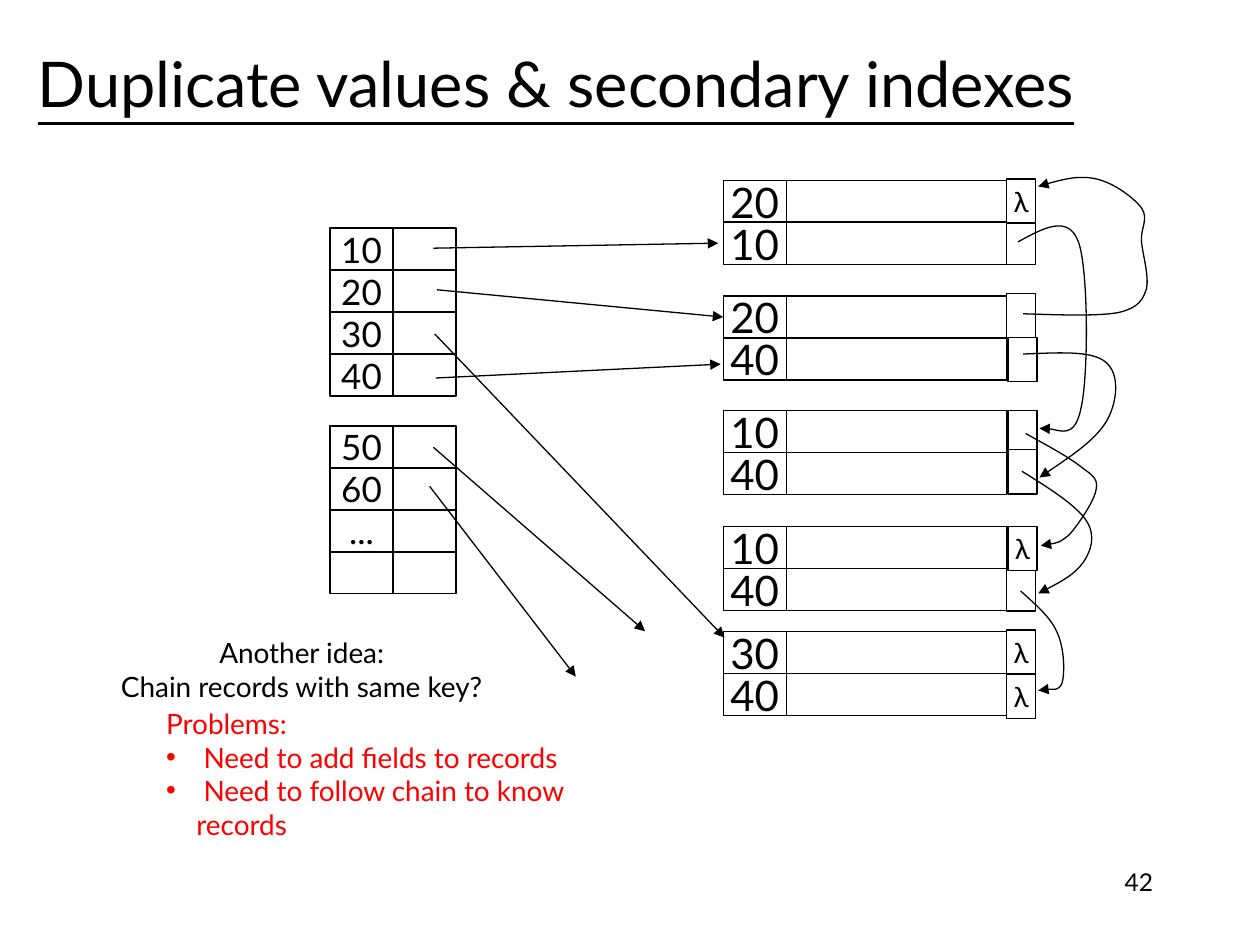
from dataclasses import dataclass

from lxml.etree import SubElement
from pptx import Presentation
from pptx.dml.color import RGBColor
from pptx.enum.shapes import MSO_CONNECTOR, MSO_SHAPE
from pptx.enum.text import MSO_ANCHOR, PP_ALIGN
from pptx.oxml.ns import qn
from pptx.util import Inches, Pt


@dataclass(frozen=True)
class Theme:
    font: str = "Lato"
    ink: RGBColor = RGBColor(0, 0, 0)
    paper: RGBColor = RGBColor(255, 255, 255)
    warning: RGBColor = RGBColor(255, 0, 0)
    title: int = 36
    record: int = 24
    index: int = 20
    body: int = 16
    number: int = 14
    line: float = 0.75


theme = Theme()


def write_text(shape, lines, size, color=theme.ink, align=PP_ALIGN.LEFT,
               anchor=MSO_ANCHOR.MIDDLE, wrap=True, underline=None, bullets_from=None):
    """Write one paragraph per line; those from index bullets_from on get a bullet."""
    frame = shape.text_frame
    frame.word_wrap = wrap
    frame.vertical_anchor = anchor
    for number, line in enumerate(lines):
        paragraph = frame.paragraphs[0] if number == 0 else frame.add_paragraph()
        paragraph.text = line
        paragraph.alignment = align
        if bullets_from is not None and number >= bullets_from:
            properties = paragraph._p.get_or_add_pPr()
            properties.set("marL", str(Inches(0.24)))
            properties.set("indent", str(-Inches(0.24)))
            SubElement(properties, qn("a:buFont"), typeface="Arial")
            SubElement(properties, qn("a:buChar"), char="•")
        for font in [paragraph.font] + [run.font for run in paragraph.runs]:
            font.name = theme.font
            font.size = Pt(size)
            font.color.rgb = color
            font.underline = underline


def add_cell(shapes, left, top, width, height, text="", size=theme.body):
    cell = shapes.add_shape(MSO_SHAPE.RECTANGLE, Inches(left), Inches(top),
                            Inches(width), Inches(height))
    cell.shadow.inherit = False
    cell.fill.solid()
    cell.fill.fore_color.rgb = theme.paper
    cell.line.color.rgb = theme.ink
    cell.line.width = Pt(theme.line)
    if text:
        write_text(cell, [text], size, align=PP_ALIGN.CENTER, wrap=False)
    return cell


presentation = Presentation()
presentation.slide_width = Inches(10)
presentation.slide_height = Inches(7.5)
slide = presentation.slides.add_slide(presentation.slide_layouts[5])

title = slide.shapes.title
title.left, title.top = Inches(0.2), Inches(0.16)
title.width, title.height = Inches(8.67), Inches(0.99)
write_text(title, ["Duplicate values & secondary indexes"], theme.title, underline=True)

# Index blocks and record blocks: a key column and a second column
row_height = 1 / 3
key_width = 0.5
blocks = [
    # left, top, second column width, text size, keys
    (5.74, 1.43, 1.75, theme.record, ["20", "10"]),
    (5.74, 2.35, 1.75, theme.record, ["20", "40"]),
    (5.74, 3.26, 1.75, theme.record, ["10", "40"]),
    (5.74, 4.18, 1.75, theme.record, ["10", "40"]),
    (5.74, 5.01, 1.75, theme.record, ["30", "40"]),
    (2.62, 1.81, 0.5, theme.index, ["10", "20", "30", "40"]),
    (2.62, 3.38, 0.5, theme.index, ["50", "60", "...", ""]),
]
key_cells = {}
for block, (left, top, second_width, size, keys) in enumerate(blocks):
    group = slide.shapes.add_group_shape()
    for row, key in enumerate(keys):
        row_top = top + row * row_height
        key_cells[block, row] = add_cell(group.shapes, left, row_top, key_width,
                                         row_height, key, size)
        add_cell(group.shapes, left + key_width, row_top, second_width, row_height)

# Index pointers
arrows = []
pointers = [
    ((3.44, 1.97), (5.7, 1.93), None),
    ((3.47, 2.3), (5.74, 2.51), key_cells[1, 0]),
    ((3.45, 2.65), (5.75, 5.06), None),
    ((3.46, 3), (5.72, 2.89), None),
    ((3.44, 3.55), (5.12, 5.01), None),
    ((3.41, 3.86), (4.57, 5.37), None),
]
for start, end, target in pointers:
    pointer = slide.shapes.add_connector(
        MSO_CONNECTOR.STRAIGHT, *[Inches(value) for value in start + end])
    if target is not None:
        pointer.end_connect(target, 1)
    arrows.append(pointer)

# Chain fields at the end of each record
chain_fields = [
    (7.99, 1.75, ""), (7.99, 1.42, "λ"), (7.99, 2.33, ""), (8, 2.68, ""),
    (8, 3.26, ""), (8, 3.57, ""), (7.99, 5, "λ"), (7.99, 4.5, ""),
    (8, 4.18, "λ"), (7.99, 5.35, "λ"),
]
for left, top, text in chain_fields:
    add_cell(slide.shapes, left, top, 0.23, 0.35, text)

# Chain links: a start point, then three points for each Bézier segment
chain_links = [
    [(8.08, 1.92), (8.28, 1.81), (8.48, 1.7), (8.56, 1.92), (8.64, 2.14),
     (8.64, 2.99), (8.58, 3.24), (8.53, 3.49), (8.31, 3.38), (8.25, 3.4)],
    [(8.12, 2.49), (8.42, 2.5), (8.72, 2.51), (8.88, 2.48), (9.04, 2.44),
     (9.07, 2.38), (9.1, 2.29), (9.12, 2.19), (9.07, 2.02), (9.06, 1.92),
     (9.05, 1.81), (9.12, 1.74), (9.06, 1.65), (9, 1.57), (8.84, 1.45),
     (8.7, 1.42), (8.57, 1.39), (8.4, 1.43), (8.24, 1.48)],
    [(8.12, 2.81), (8.39, 2.8), (8.66, 2.78), (8.77, 2.87), (8.89, 2.96),
     (8.87, 3.18), (8.79, 3.33), (8.7, 3.49), (8.47, 3.64), (8.25, 3.79)],
    [(8.11, 3.74), (8.32, 3.87), (8.54, 4.01), (8.62, 4.13), (8.7, 4.25),
     (8.66, 4.37), (8.6, 4.46), (8.53, 4.56), (8.38, 4.64), (8.24, 4.71)],
    [(8.1, 4.69), (8.22, 4.8), (8.34, 4.9), (8.39, 5.02), (8.45, 5.15),
     (8.45, 5.34), (8.43, 5.42), (8.4, 5.49), (8.27, 5.46), (8.24, 5.48)],
    [(8.14, 3.44), (8.3, 3.53), (8.47, 3.62), (8.56, 3.69), (8.65, 3.76),
     (8.72, 3.79), (8.7, 3.88), (8.69, 3.97), (8.56, 4.16), (8.49, 4.24),
     (8.41, 4.31), (8.34, 4.32), (8.26, 4.33)],
]
for points in chain_links:
    start, *rest = [(Inches(x), Inches(y)) for x, y in points]
    builder = slide.shapes.build_freeform(*start)
    builder.add_line_segments(rest, close=False)
    link = builder.convert_to_shape()
    link.fill.background()
    segments = list(link.element.iter(qn("a:lnTo")))
    outline = segments[0].getparent()
    for first in range(0, len(segments), 3):
        curve = SubElement(outline, qn("a:cubicBezTo"))
        for segment in segments[first:first + 3]:
            curve.append(segment[0])
            outline.remove(segment)
    arrows.append(link)

for arrow in arrows:
    arrow.line.color.rgb = theme.ink
    arrow.line.width = Pt(theme.line)
    properties = arrow.element.spPr
    SubElement(properties.find(qn("a:ln")), qn("a:tailEnd"), type="triangle")
    SubElement(properties, qn("a:effectLst"))

# Notes below the indexes and the slide number
idea = slide.shapes.add_textbox(Inches(0.82), Inches(4.99), Inches(3.15), Inches(0.64))
write_text(idea, ["Another idea:\vChain records with same key?"], theme.body,
           align=PP_ALIGN.CENTER, wrap=False)

problems = slide.shapes.add_textbox(Inches(1.22), Inches(5.69), Inches(4.02), Inches(0.9))
write_text(problems, ["Problems:", " Need to add fields to records",
                      " Need to follow chain to know records"],
           theme.body, color=theme.warning, bullets_from=1)

slide_number = slide.shapes.add_textbox(Inches(7.17), Inches(6.83), Inches(2.08), Inches(0.5))
write_text(slide_number, ["42"], theme.number, align=PP_ALIGN.RIGHT, anchor=MSO_ANCHOR.TOP)

presentation.save("out.pptx")
